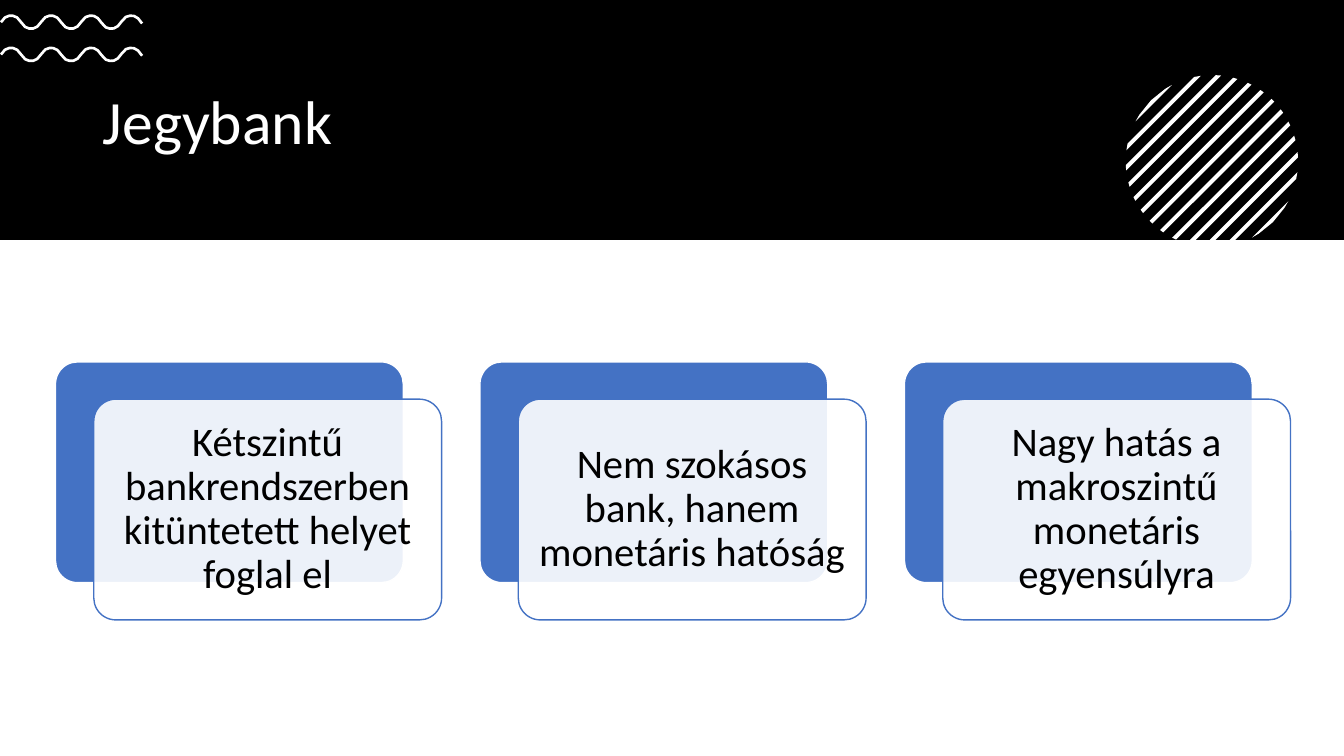
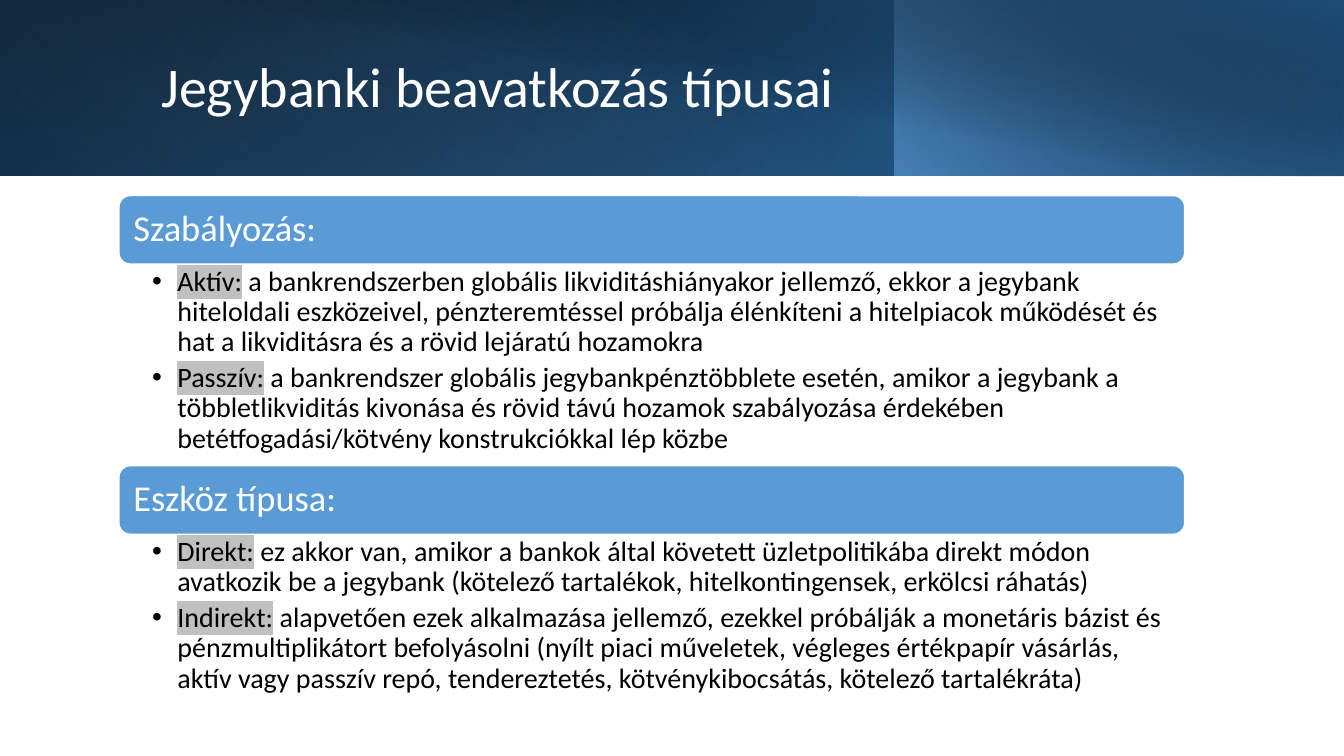
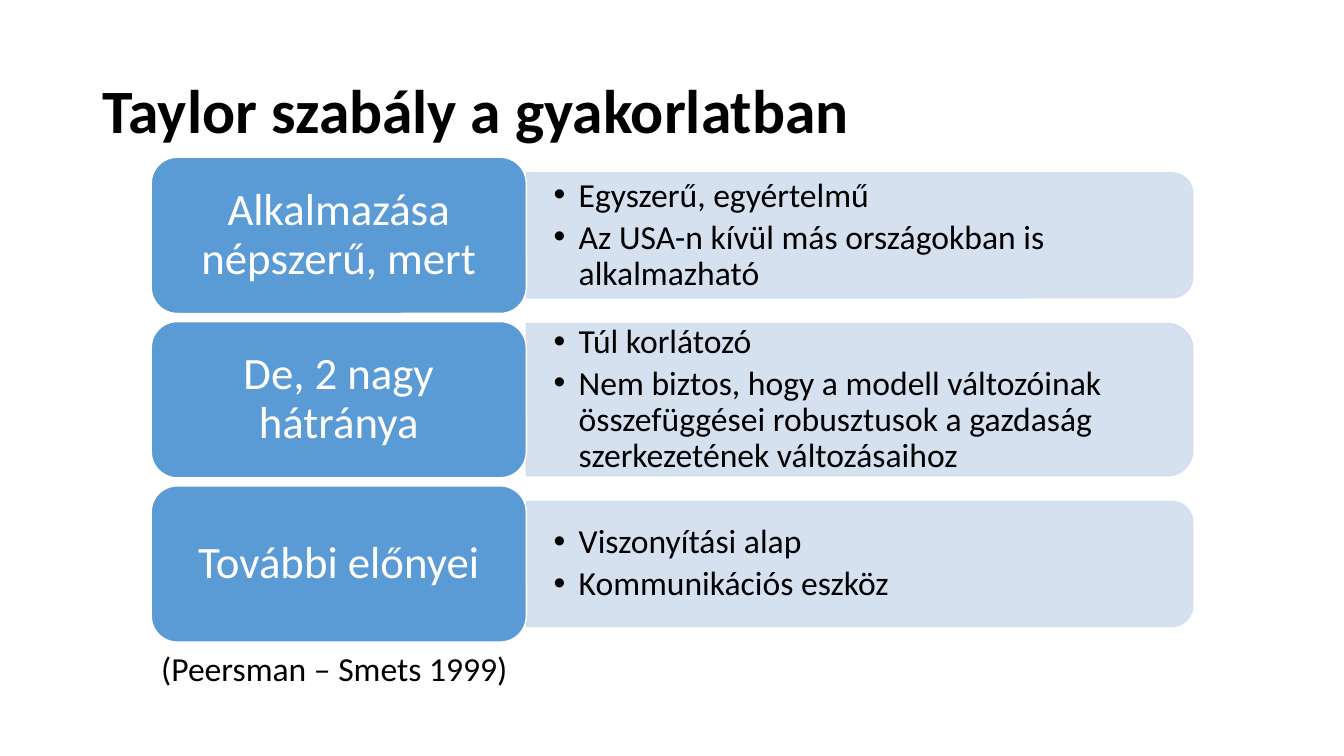
import math
from dataclasses import dataclass
from pptx import Presentation, util as u
from pptx.dml.color import RGBColor
from pptx.enum import shapes as es, text as et
from pptx.oxml import parse_xml
from pptx.oxml.ns import nsdecls, qn


@dataclass(frozen=True)
class Theme:
    font: str = "Calibri"
    white: str = "FFFFFF"
    black: str = "000000"
    royal: str = "4472C4"
    blue: str = "5B9BD5"
    pale: str = "D2DEEF"
    navy: str = "1F4E79"
    mid: str = "2E75B6"
    mark: str = "C0C0C0"
    title: int = 44
    label: int = 32
    card: int = 29
    head: int = 26
    body: int = 24
    small: int = 20


T = Theme()
W, H = 13.33, 7.5
RECT = es.MSO_SHAPE.RECTANGLE
ROUND = es.MSO_SHAPE.ROUNDED_RECTANGLE
LEFT, MID = et.PP_ALIGN.LEFT, et.PP_ALIGN.CENTER


def box(page, kind, x, y, w, h, fill, line=None, alpha=100):
    """Add a flat preset shape, given in inches."""
    shape = page.shapes.add_shape(kind, *map(u.Inches, (x, y, w, h)))
    shape.shadow.inherit = False
    shape.fill.solid()
    shape.fill.fore_color.rgb = RGBColor.from_string(fill)
    if alpha < 100:
        tint = shape.fill._xPr.find(".//" + qn("a:srgbClr"))
        tint.append(parse_xml(f'<a:alpha {nsdecls("a")} val="{alpha * 1000}"/>'))
    if line:
        shape.line.color.rgb = RGBColor.from_string(line)
        shape.line.width = u.Pt(1)
    else:
        shape.line.fill.background()
    return shape


def write(shape, paras, size, tint, pad=(0.1, 0.05, 0.1, 0.05), align=LEFT,
          anchor=et.MSO_ANCHOR.MIDDLE, bold=False, list_=False, pitch=0.9):
    """Fill a shape with paragraphs; a (term, rest) pair marks its term."""
    frame = shape.text_frame
    frame.word_wrap = True
    frame.auto_size = et.MSO_AUTO_SIZE.NONE
    frame.vertical_anchor = anchor
    (frame.margin_left, frame.margin_top,
     frame.margin_right, frame.margin_bottom) = map(u.Inches, pad)
    for i, part in enumerate(paras):
        p = frame.add_paragraph() if i else frame.paragraphs[0]
        p.alignment, p.line_spacing = align, pitch
        if list_:
            p.space_after = u.Pt(4)
            props = p._p.get_or_add_pPr()
            props.set("marL", str(u.Inches(0.25)))
            props.set("indent", str(-u.Inches(0.25)))
            props.append(parse_xml(f'<a:buFont {nsdecls("a")} typeface="Arial"/>'))
            props.append(parse_xml(f'<a:buChar {nsdecls("a")} char="•"/>'))
        p.font.name, p.font.size, p.font.bold = T.font, u.Pt(size), bold
        p.font.color.rgb = RGBColor.from_string(tint)
        term, rest = part if isinstance(part, tuple) else ("", part)
        if term:
            run = p.add_run()
            run.text = term
            run._r.get_or_add_rPr().append(parse_xml(
                f'<a:highlight {nsdecls("a")}><a:srgbClr val="{T.mark}"/></a:highlight>'))
        p.add_run().text = rest


deck = Presentation()
deck.slide_width, deck.slide_height = u.Inches(W), u.Inches(H)

# Bands: place, turn, flip, gradient angle, stops (position, colour, opacity)
top, cut = 2.38, 8.87
fade = [
    ((0, 0, W, 1.74), 0, True, 140, [(0, T.black, 100), (100, T.mid, 100)]),
    ((0, 0, cut, 1.74), 180, True, 230, [(20, T.blue, 0), (100, T.navy, 55)]),
    ((cut, 0, W - cut, 1.74), 0, True, 220, [(0, T.blue, 66), (100, T.black, 30)]),
    ((0.5, 0, W - 0.5, 1.75), 0, False, 280, [(50, T.black, 0), (99, T.navy, 52)]),
]
plain = [((0, 0, W, top), 0, False, 0, [])]

# Slides with their bands and titles
pages = []
for name, place, size, tint, bold, bands in [
    ("Jegybank", (0.92, 0.62, 11.5, 1.23), T.title, T.white, False, plain),
    ("Jegybanki beavatkozás típusai", (1.5, 0.32, 10.82, 1.13), 40, T.white, False, fade),
    ("Taylor szabály a gyakorlatban", (0.92, 0.4, 11.5, 1.45), T.title, T.black, True, []),
]:
    page = deck.slides.add_slide(deck.slide_layouts[5])
    pages.append(page)
    for area, turn, flip, angle, stops in bands:
        band = box(page, RECT, *area, T.black)
        band.rotation = turn
        if flip:
            band._element.spPr.xfrm.set("flipH", "1")
        if stops:
            marks = "".join(
                f'<a:gs pos="{pos * 1000}"><a:srgbClr val="{hue}">'
                f'<a:alpha val="{see * 1000}"/></a:srgbClr></a:gs>'
                for pos, hue, see in stops)
            props = band._element.spPr
            props.replace(props.find(qn("a:solidFill")), parse_xml(
                f'<a:gradFill {nsdecls("a")} rotWithShape="1"><a:gsLst>{marks}</a:gsLst>'
                f'<a:lin ang="{angle * 60000}" scaled="0"/></a:gradFill>'))
    title = page.shapes.title
    title.left, title.top, title.width, title.height = map(u.Inches, place)
    write(title, [name], size, tint, bold=bold)
    page.shapes._spTree.append(title._element)  # above the bands

bank, types, rule = pages

# Slide 1: two waves with rounded crests
for y in (0.54, 0.22):
    dots = []
    for x in range(1, 142, 4):
        turn = math.tau * (x - 11) / 39.7
        rise = 0.07 * (math.cos(turn) - 0.08 * math.cos(3 * turn))
        dots.append((u.Inches(x / 100), u.Inches(y - rise)))
    pen = bank.shapes.build_freeform(*dots[0])
    pen.add_line_segments(dots[1:], close=False)
    wave = pen.convert_to_shape()
    wave.shadow.inherit = False
    wave.fill.background()
    wave.line.color.rgb = RGBColor.from_string(T.white)
    wave.line.width = u.Pt(1.9)

# Slide 1: disc of diagonal stripes, cut off at the band's lower edge
cx, cy, rad = 12.02, 1.6, 0.855
root = math.sqrt(2)
for k in range(-6, 7):
    near = max(-rad, (k * 0.197 - 0.028) / root)
    far = min(rad, (k * 0.197 + 0.028) / root)
    steps = 2 if abs(k) == 6 else 1
    upper, lower = [], []
    for i in range(steps + 1):
        d = near + (far - near) * i / steps
        half = math.sqrt(max(0, rad ** 2 - d ** 2))
        low = min(half, (top - cy) * root - d)
        upper.append((cx + (d + half) / root, cy + (d - half) / root))
        lower.append((cx + (d - low) / root, cy + (d + low) / root))
    dots = [(u.Inches(x), u.Inches(y)) for x, y in upper + lower[::-1]]
    pen = bank.shapes.build_freeform(*dots[0])
    pen.add_line_segments(dots[1:])
    stripe = pen.convert_to_shape()
    stripe.shadow.inherit = False
    stripe.fill.solid()
    stripe.fill.fore_color.rgb = RGBColor.from_string(T.white)
    stripe.line.fill.background()

# Slide 1: three cards, each with a backing
for col, words in enumerate([
    "Kétszintű bankrendszerben kitüntetett helyet foglal el",
    "Nem szokásos bank, hanem monetáris hatóság",
    "Nagy hatás a makroszintű monetáris egyensúlyra",
]):
    x = 0.55 + col * 4.21
    back = box(bank, ROUND, x, 3.59, 3.45, 2.19, T.royal, T.white)
    card = box(bank, ROUND, x + 0.38, 3.96, 3.45, 2.19, T.white, T.royal, 90)
    back.adjustments[0] = card.adjustments[0] = 0.1
    write(card, [words], T.card, T.black, (0.12,) * 4, MID)

# Slide 2: headed lists
for row, (head, deep, items) in enumerate([
    ("Szabályozás:", 2, [
        ("Aktív:", " a bankrendszerben globális likviditáshiányakor jellemző, ekkor a "
         "jegybank hiteloldali eszközeivel, pénzteremtéssel próbálja élénkíteni a "
         "hitelpiacok működését és hat a likviditásra és a rövid lejáratú hozamokra"),
        ("Passzív:", " a bankrendszer globális jegybankpénztöbblete esetén, amikor a "
         "jegybank a többletlikviditás kivonása és rövid távú hozamok szabályozása "
         "érdekében betétfogadási/kötvény konstrukciókkal lép közbe")]),
    ("Eszköz típusa:", 1.68, [
        ("Direkt:", " ez akkor van, amikor a bankok által követett üzletpolitikába direkt "
         "módon avatkozik be a jegybank (kötelező tartalékok, hitelkontingensek, "
         "erkölcsi ráhatás)"),
        ("Indirekt:", " alapvetően ezek alkalmazása jellemző, ezekkel próbálják a monetáris "
         "bázist és pénzmultiplikátort befolyásolni (nyílt piaci műveletek, végleges "
         "értékpapír vásárlás, aktív vagy passzív repó, tendereztetés, "
         "kötvénykibocsátás, kötelező tartalékráta)")]),
]):
    y = 1.94 + row * 2.68
    bar = box(types, ROUND, 1.18, y, 10.57, 0.68, T.blue, T.white)
    write(bar, [head], T.head, T.white, (0.11,) * 4)
    area = types.shapes.add_textbox(*map(u.Inches, (1.18, y + 0.68, 10.57, deep)))
    write(area, items, T.small, T.black, (0.33, 0.03, 0.2, 0.04),
          anchor=et.MSO_ANCHOR.TOP, list_=True)

# Slide 3: labels, each with a panel turned to round its right side
left, wide, tall, span = 1.5, 3.72, 1.55, 6.61
for row, (label, deep, items) in enumerate([
    ("Alkalmazása népszerű, mert", 1.24,
     ["Egyszerű, egyértelmű", "Az USA-n kívül más országokban is alkalmazható"]),
    ("De, 2 nagy hátránya", 1.51,
     ["Túl korlátozó", "Nem biztos, hogy a modell változóinak összefüggései "
      "robusztusok a gazdaság szerkezetének változásaihoz"]),
    ("További előnyei", 1.24, ["Viszonyítási alap", "Kommunikációs eszköz"]),
]):
    y = 1.56 + row * 1.63
    mid, edge = y + tall / 2, left + wide
    panel = box(rule, es.MSO_SHAPE.ROUND_2_SAME_RECTANGLE, edge + (span - deep) / 2,
                mid - span / 2, deep, span, T.pale, T.pale, 90)
    panel.rotation = 90
    inner = deep - 0.13
    area = rule.shapes.add_textbox(
        *map(u.Inches, (edge, mid - inner / 2, span - 0.07, inner)))
    write(area, items, T.body, T.black, (0.27, 0.14, 0.27, 0.14), list_=True)
    pill = box(rule, ROUND, left, y, wide, tall, T.blue, T.white)
    write(pill, [label], T.label, T.white, (0.13, 0.07, 0.13, 0.07), MID)

# Slide 3: reference
note = rule.shapes.add_textbox(*map(u.Inches, (left, 6.38, 5.98, 0.5)))
write(note, ["(Peersman – Smets 1999)"], T.body, T.black,
      anchor=et.MSO_ANCHOR.TOP, pitch=1.0)

deck.save("out.pptx")
